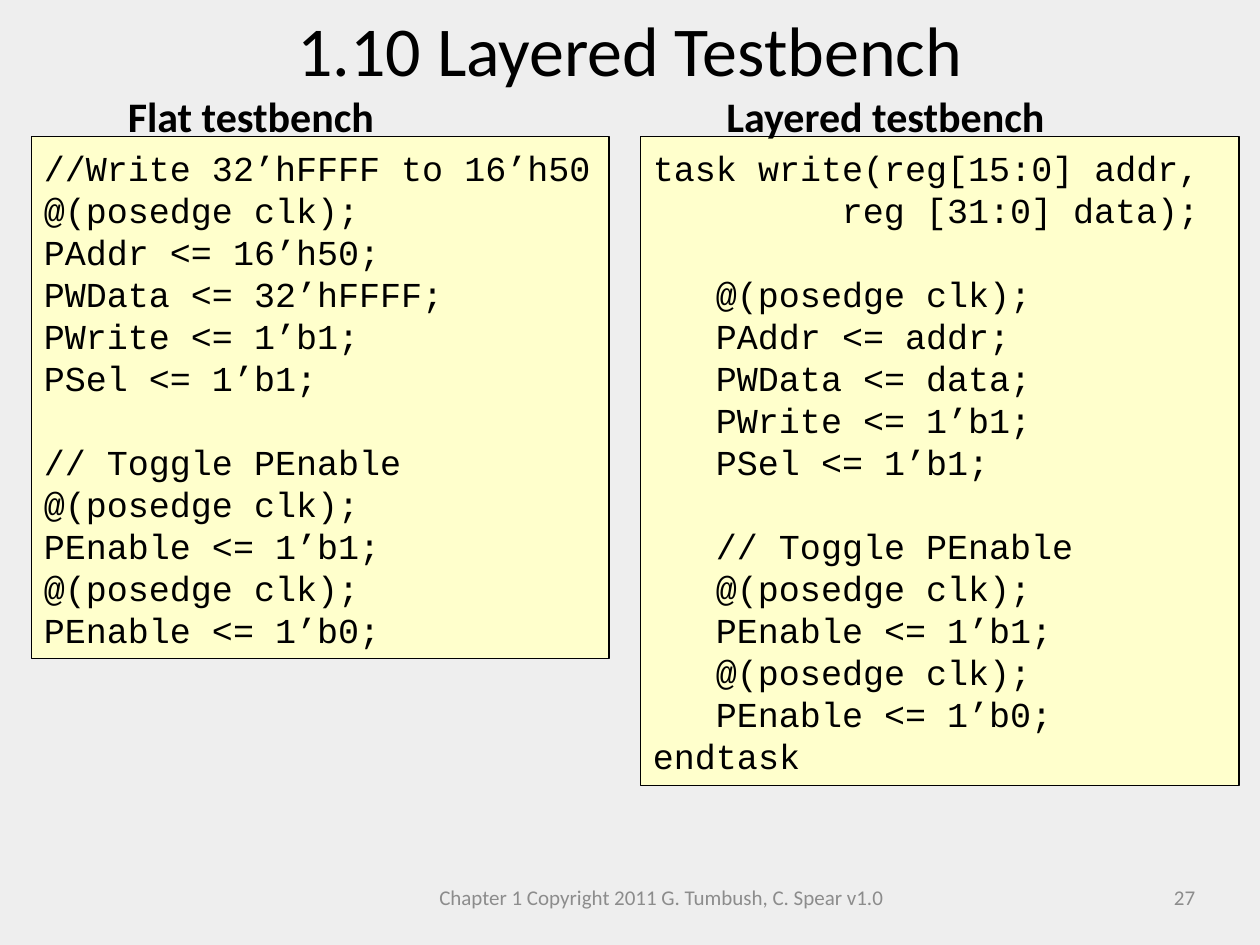
from pptx import Presentation
from pptx import util as u
from pptx.dml.color import RGBColor
from pptx.enum import shapes, text as t

COLS, ROWS = 120, 90
LINE = 24
CHAR = 12

FLAT = """//Write 32’hFFFF to 16’h50
@(posedge clk);
PAddr <= 16’h50;
PWData <= 32’hFFFF;
PWrite <= 1’b1;
PSel <= 1’b1;

// Toggle PEnable
@(posedge clk);
PEnable <= 1’b1;
@(posedge clk);
PEnable <= 1’b0;"""

LAYERED = """task write(reg[15:0] addr,
         reg [31:0] data);

   @(posedge clk);
   PAddr <= addr;
   PWData <= data;
   PWrite <= 1’b1;
   PSel <= 1’b1;

   // Toggle PEnable
   @(posedge clk);
   PEnable <= 1’b1;
   @(posedge clk);
   PEnable <= 1’b0;
endtask"""


def color(value):
    return RGBColor.from_string(value)


def write(p, content, size=20, font="Calibri", fill="000000", bold=False,
          align=t.PP_ALIGN.LEFT):
    p.alignment = align
    r = p.add_run()
    r.text = content
    r.font.size = u.Pt(size)
    r.font.name = font
    r.font.bold = bold
    r.font.color.rgb = color(fill)


class Deck:
    def __init__(self):
        self.prs = Presentation()
        self.prs.slide_width, self.prs.slide_height = u.Inches(10), u.Inches(7.5)
        self.s = self.prs.slides.add_slide(self.prs.slide_layouts[6])
        bg = self.s.background.fill
        bg.solid()
        bg.fore_color.rgb = color("EEEEEE")

    def place(self, col, row, cols, rows):
        w, h = self.prs.slide_width / COLS, self.prs.slide_height / ROWS
        return [round(v) for v in (col * w, row * h, cols * w, rows * h)]

    def label(self, content, *cell, anchor=t.MSO_ANCHOR.TOP, **style):
        sp = self.s.shapes.add_textbox(*self.place(*cell))
        tf = sp.text_frame
        tf.word_wrap = True
        tf.vertical_anchor = anchor
        write(tf.paragraphs[0], content, **style)

    def code(self, source, *cell):
        sp = self.s.shapes.add_shape(shapes.MSO_SHAPE.RECTANGLE, *self.place(*cell))
        sp.shadow.inherit = False
        sp.fill.solid()
        sp.fill.fore_color.rgb = color("FFFFCC")
        sp.line.color.rgb = color("000000")
        sp.line.width = u.Pt(0.75)
        tf = sp.text_frame
        tf.word_wrap = True
        tf.vertical_anchor = t.MSO_ANCHOR.TOP
        tf.margin_top = u.Inches(0.08)
        p, gap = tf.paragraphs[0], 0
        for i, line in enumerate(source.splitlines()):
            if not line:
                gap = LINE
                continue
            if i:
                p = tf.add_paragraph()
            content = line.lstrip()
            write(p, content, font="Courier New")
            p.line_spacing = u.Pt(LINE)
            p.space_before = u.Pt(gap)
            indent = u.Pt(CHAR * (len(line) - len(content)))
            p._p.get_or_add_pPr().set("marL", str(indent))
            gap = 0


def main():
    d = Deck()
    d.label("1.10 Layered Testbench", 0, 0, COLS, 9.25, size=40,
            align=t.PP_ALIGN.CENTER)
    footer = dict(size=12, fill="8C8C8C", anchor=t.MSO_ANCHOR.MIDDLE)
    d.label("27", 87, 83, 28, 4.8, align=t.PP_ALIGN.RIGHT, **footer)
    d.label("Chapter 1 Copyright 2011 G. Tumbush, C. Spear v1.0",
            40, 83, 46, 4.8, align=t.PP_ALIGN.CENTER, **footer)
    d.code(FLAT, 3, 13, 55, 49.7)
    d.code(LAYERED, 61, 13, 57, 61.8)
    d.label("Flat testbench", 11, 8, 26.2, 6, size=24, bold=True)
    d.label("Layered testbench", 68, 8, 33.1, 6, size=24, bold=True)
    d.prs.save("out.pptx")


if __name__ == "__main__":
    main()
